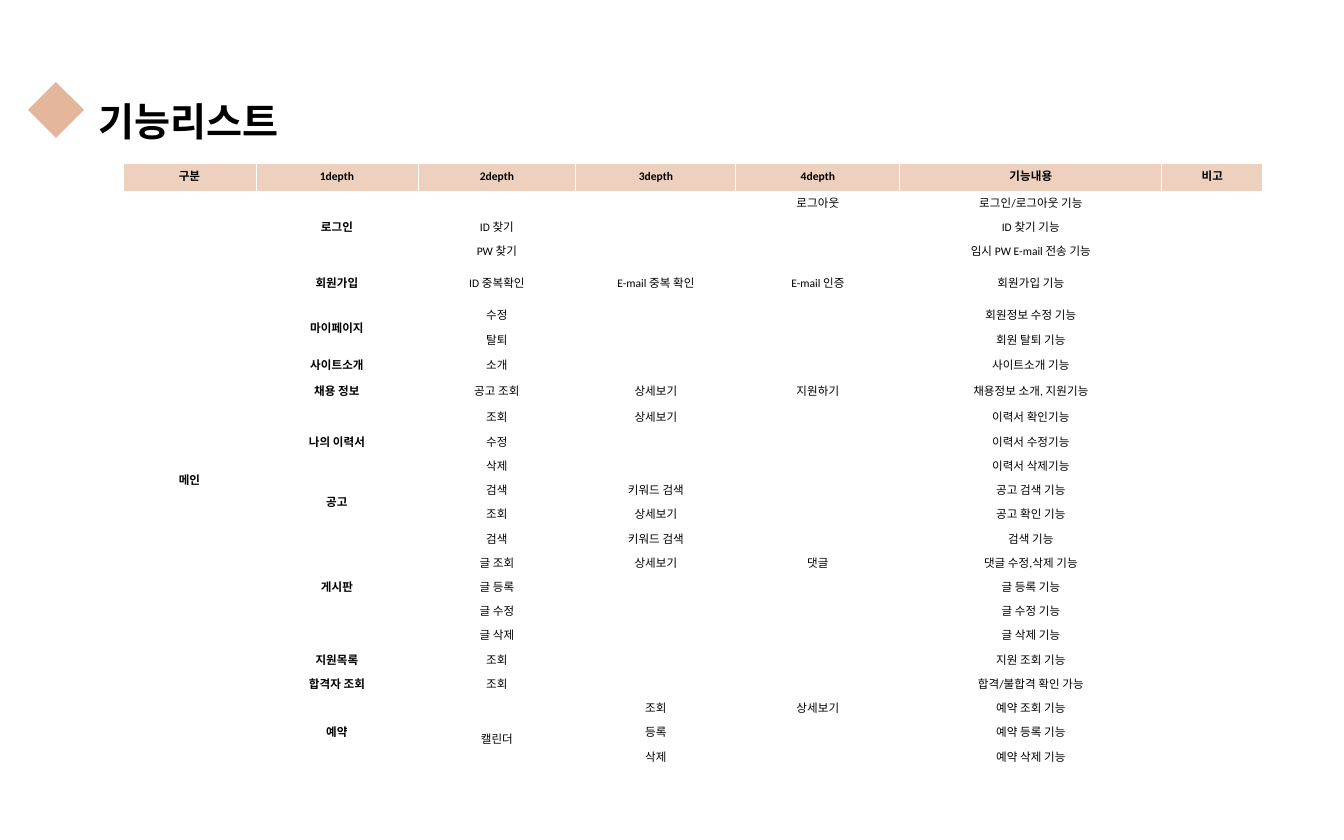
from lxml import etree
from pptx import Presentation
from pptx import util as u
from pptx.dml import color
from pptx.enum import shapes, text
from pptx.oxml import ns

PX = 12095
HEADINGS = ["구분", "1depth", "2depth", "3depth", "4depth", "기능내용", "비고"]
COLUMN_WIDTHS = [133, 162, 158, 160, 164, 262, 101]
ROW_HEIGHTS = [28, 24, 24, 24, 39, 25, 26, 24, 28] + [24] * 15
SECTION = "메인"
MENUS = [
    ("로그인", [("", "", "로그아웃", "로그인/로그아웃 기능"),
             ("ID 찾기", "", "", "ID 찾기 기능"),
             ("PW 찾기", "", "", "임시 PW E-mail 전송 기능")]),
    ("회원가입", [("ID 중복확인", "E-mail 중복 확인", "E-mail 인증", "회원가입 기능")]),
    ("마이페이지", [("수정", "", "", "회원정보 수정 기능"),
               ("탈퇴", "", "", "회원 탈퇴 기능")]),
    ("사이트소개", [("소개", "", "", "사이트소개 기능")]),
    ("채용 정보", [("공고 조회", "상세보기", "지원하기", "채용정보 소개, 지원기능")]),
    ("나의 이력서", [("조회", "상세보기", "", "이력서 확인기능"),
                ("수정", "", "", "이력서 수정기능"),
                ("삭제", "", "", "이력서 삭제기능")]),
    ("공고", [("검색", "키워드 검색", "", "공고 검색 기능"),
            ("조회", "상세보기", "", "공고 확인 기능")]),
    ("게시판", [("검색", "키워드 검색", "", "검색 기능"),
             ("글 조회", "상세보기", "댓글", "댓글 수정,삭제 기능"),
             ("글 등록", "", "", "글 등록 기능"),
             ("글 수정", "", "", "글 수정 기능"),
             ("글 삭제", "", "", "글 삭제 기능")]),
    ("지원목록", [("조회", "", "", "지원 조회 기능")]),
    ("합격자 조회", [("조회", "", "", "합격/불합격 확인 가능")]),
    ("예약", [("캘린더", "조회", "상세보기", "예약 조회 기능"),
            ("", "등록", "", "예약 등록 기능"),
            ("", "삭제", "", "예약 삭제 기능")]),
]


def px(length):
    return u.Emu(length * PX)


def paint(target, value):
    target.solid()
    target.fore_color.rgb = color.RGBColor.from_string(value)


def format_span(span, font, size, bold):
    span.font.name = font
    span.font.size = u.Pt(size)
    span.font.bold = bold
    paint(span.font.fill, "000000")
    etree.SubElement(span.font._element, ns.qn("a:ea"), typeface=font)


def add_heading(page, left, top, width, height):
    diamond = page.shapes.add_shape(
        shapes.MSO_SHAPE.DIAMOND, px(left), px(top + 12), px(56), px(56))
    diamond.shadow.inherit = False
    paint(diamond.fill, "E4B79C")
    diamond.line.fill.background()

    title = page.shapes.title
    title.left, title.top = px(left + 63), px(top)
    title.width, title.height = px(width - 63), px(height)
    frame = title.text_frame
    frame.text = "기능리스트"
    frame.word_wrap = True
    frame.auto_size = text.MSO_AUTO_SIZE.NONE
    frame.vertical_anchor = text.MSO_ANCHOR.TOP
    para = frame.paragraphs[0]
    para.alignment = text.PP_ALIGN.LEFT
    para.line_spacing = 1.5
    format_span(para.runs[0], "Noto Sans CJK KR", 37.3, True)


def add_borders(cell):
    properties = cell._tc.get_or_add_tcPr()
    for position, side in enumerate(("lnL", "lnR", "lnT", "lnB")):
        line = etree.Element(ns.qn("a:" + side), w="12700")
        fill = etree.SubElement(line, ns.qn("a:solidFill"))
        etree.SubElement(fill, ns.qn("a:srgbClr"), val="FFFFFF")
        properties.insert(position, line)


def fill_cell(cell, words, bold, background):
    cell.margin_left = cell.margin_right = px(10)
    cell.margin_top = cell.margin_bottom = px(5)
    cell.vertical_anchor = text.MSO_ANCHOR.MIDDLE
    para = cell.text_frame.paragraphs[0]
    para.text = words
    para.alignment = text.PP_ALIGN.CENTER
    for span in para.runs:
        format_span(span, "Calibri", 11, bold)
    if not words:
        etree.SubElement(para._p, ns.qn("a:endParaRPr"), sz="1100")
    if background:
        paint(cell.fill, background)
    else:
        cell.fill.background()
    add_borders(cell)


def merge_down(table, column, first, count):
    if count > 1:
        table.cell(first, column).merge(table.cell(first + count - 1, column))


def add_feature_table(page, left, top):
    rows = [HEADINGS]
    groups = []
    for menu, features in MENUS:
        groups.append((len(rows), len(features)))
        for index, feature in enumerate(features):
            section = SECTION if len(rows) == 1 else ""
            rows.append([section, "" if index else menu, *feature, ""])

    frame = page.shapes.add_table(
        len(rows), len(HEADINGS), px(left), px(top),
        px(sum(COLUMN_WIDTHS)), px(sum(ROW_HEIGHTS)))
    table = frame.table
    table.first_row = table.horz_banding = False
    for column, width in zip(table.columns, COLUMN_WIDTHS):
        column.width = px(width)
    for row, height in zip(table.rows, ROW_HEIGHTS):
        row.height = px(height)
    for r, row in enumerate(rows):
        for c, words in enumerate(row):
            fill_cell(table.cell(r, c), words, r == 0 or c < 2,
                      "EDD0BE" if r == 0 else None)

    for first, count in groups:
        merge_down(table, 1, first, count)
    for column in (0, len(HEADINGS) - 1):
        merge_down(table, column, 1, len(rows) - 1)
    calendar_row, calendar_count = groups[-1]
    merge_down(table, 2, calendar_row, calendar_count)
    table.cell(calendar_row, 2).margin_top = px(19)


def main():
    deck = Presentation()
    deck.slide_width, deck.slide_height = px(1344), px(840)
    page = deck.slides.add_slide(deck.slide_layouts[5])
    add_heading(page, 28, 70, 543, 72)
    add_feature_table(page, 123, 163)
    deck.save("out.pptx")


if __name__ == "__main__":
    main()
